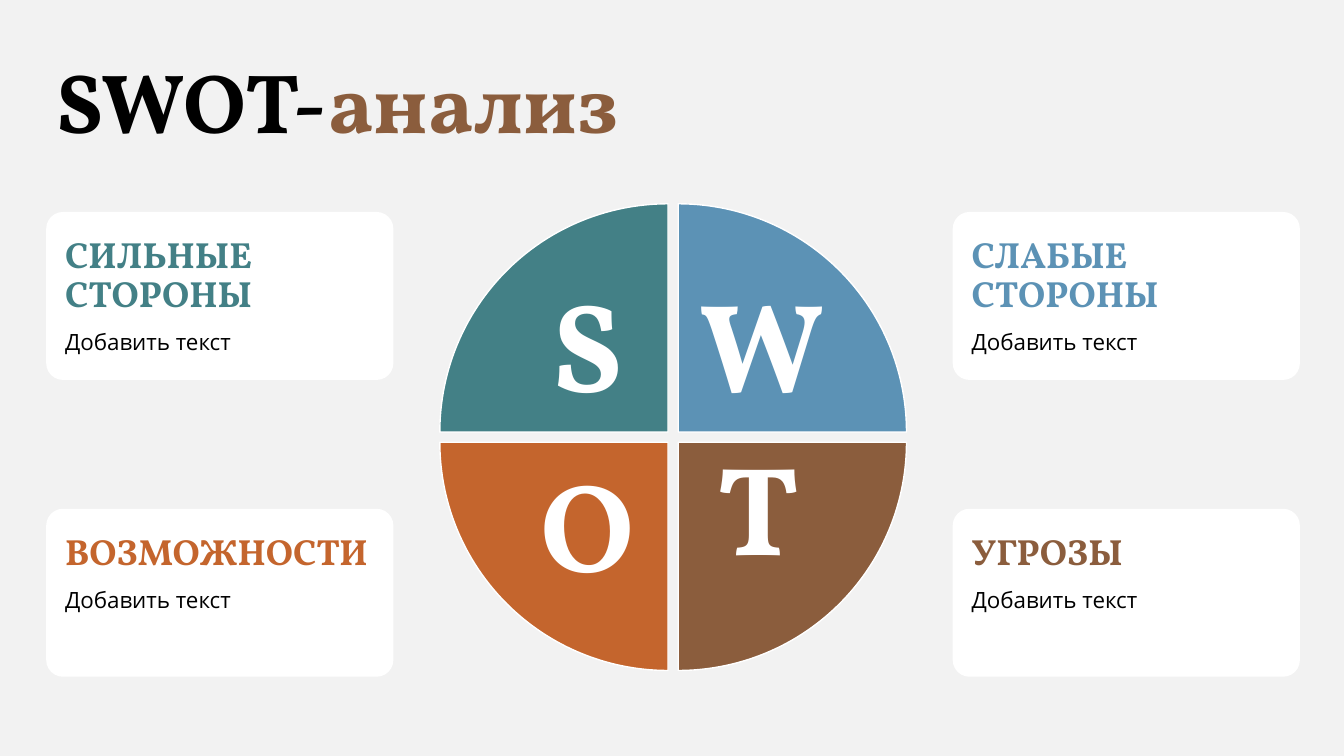
from dataclasses import dataclass

from pptx import Presentation
from pptx.dml.color import RGBColor
from pptx.enum import shapes, text
from pptx.util import Pt


@dataclass(frozen=True)
class Theme:
    head: str = "Vollkorn"
    body: str = "Open Sans"
    back: str = "F2F2F2"
    white: str = "FFFFFF"
    black: str = "000000"
    teal: str = "438086"
    blue: str = "5C92B5"
    rust: str = "C4652D"
    brown: str = "8B5D3D"
    title: int = 60
    letter: int = 90
    label: int = 26
    note: int = 16


def write(par, words, font, size, color, bold=True, align=text.PP_ALIGN.LEFT, before=0):
    """Add a formatted run to a paragraph."""
    par.alignment = align
    par.line_spacing = 0.9
    par.space_before = Pt(before)
    run = par.add_run()
    run.text = words
    run.font.name = font
    run.font.size = Pt(size)
    run.font.bold = bold
    run.font.color.rgb = RGBColor.from_string(color)


class Board:
    def __init__(self, deck, theme):
        self.theme = theme
        self.slide = deck.slides.add_slide(deck.slide_layouts[5])
        fill = self.slide.background.fill
        fill.solid()
        fill.fore_color.rgb = RGBColor.from_string(theme.back)

    def title(self, parts, left, top, width, height):
        """Fill the title with (words, color) parts."""
        t = self.theme
        box = self.slide.shapes.title
        box.left, box.top, box.width, box.height = map(Pt, (left, top, width, height))
        frame = box.text_frame
        frame.word_wrap = True
        frame.auto_size = text.MSO_AUTO_SIZE.SHAPE_TO_FIT_TEXT
        for words, color in parts:
            write(frame.paragraphs[0], words, t.head, t.title, color)

    def shape(self, kind, left, top, width, height, fill, pad):
        """Add a plain filled shape; pad is its (side, top) text inset."""
        item = self.slide.shapes.add_shape(kind, *map(Pt, (left, top, width, height)))
        item.shadow.inherit = False
        item.fill.solid()
        item.fill.fore_color.rgb = RGBColor.from_string(fill)
        item.line.fill.background()
        frame = item.text_frame
        frame.word_wrap = True
        frame.margin_left = frame.margin_right = Pt(pad[0])
        frame.margin_top = frame.margin_bottom = Pt(pad[1])
        return item

    def card(self, label, note, color, left, top):
        t = self.theme
        kind = shapes.MSO_SHAPE.ROUNDED_RECTANGLE
        item = self.shape(kind, left, top, 248, 120, t.white, (10, 14.4))
        item.adjustments[0] = 0.1
        frame = item.text_frame
        frame.vertical_anchor = text.MSO_ANCHOR.TOP
        write(frame.paragraphs[0], label, t.head, t.label, color)
        write(frame.add_paragraph(), note, t.body, t.note, t.black, bold=False, before=11.3)

    def wedge(self, letter, color, left, top, turn, anchor, upright):
        """Add a quarter disc; upright holds the body settings that undo its turn."""
        t = self.theme
        kind = shapes.MSO_SHAPE.PIE_WEDGE
        item = self.shape(kind, left, top, 163, 163, color, (15, 15))
        item.rotation = turn
        item.line.color.rgb = RGBColor.from_string(t.white)
        item.line.width = Pt(1)
        frame = item.text_frame
        frame.vertical_anchor = anchor
        body = frame.paragraphs[0]._p.getparent().bodyPr
        for key, value in upright.items():
            body.set(key, value)
        write(frame.paragraphs[0], letter, t.head, t.letter, t.white,
              align=text.PP_ALIGN.CENTER)


def main():
    deck = Presentation()
    deck.slide_width, deck.slide_height = Pt(960), Pt(540)
    t = Theme()
    board = Board(deck, t)
    board.title([("SWOT-", t.black), ("анализ", t.brown)], 33, 39.6, 720, 72)

    top, mid, low = text.MSO_ANCHOR.TOP, text.MSO_ANCHOR.MIDDLE, text.MSO_ANCHOR.BOTTOM
    # Letter, label, color, column, row, turn, anchor, upright
    parts = [
        ("S", "СИЛЬНЫЕ СТОРОНЫ", t.teal, 0, 0, 0, mid, {}),
        ("W", "СЛАБЫЕ СТОРОНЫ", t.blue, 1, 0, 90, mid, {"vert": "vert270"}),
        ("T", "УГРОЗЫ", t.brown, 1, 1, 180, low, {"rot": "10800000"}),
        ("O", "ВОЗМОЖНОСТИ", t.rust, 0, 1, 270, top, {"vert": "vert"}),
    ]
    for letter, label, color, col, row, turn, anchor, upright in parts:
        board.card(label, "Добавить текст", color, 33 + 647.5 * col, 151.4 + 212 * row)
        board.wedge(letter, color, 314.2 + 170.3 * col, 145.6 + 170.3 * row,
                    turn, anchor, upright)

    deck.save("out.pptx")


if __name__ == "__main__":
    main()
